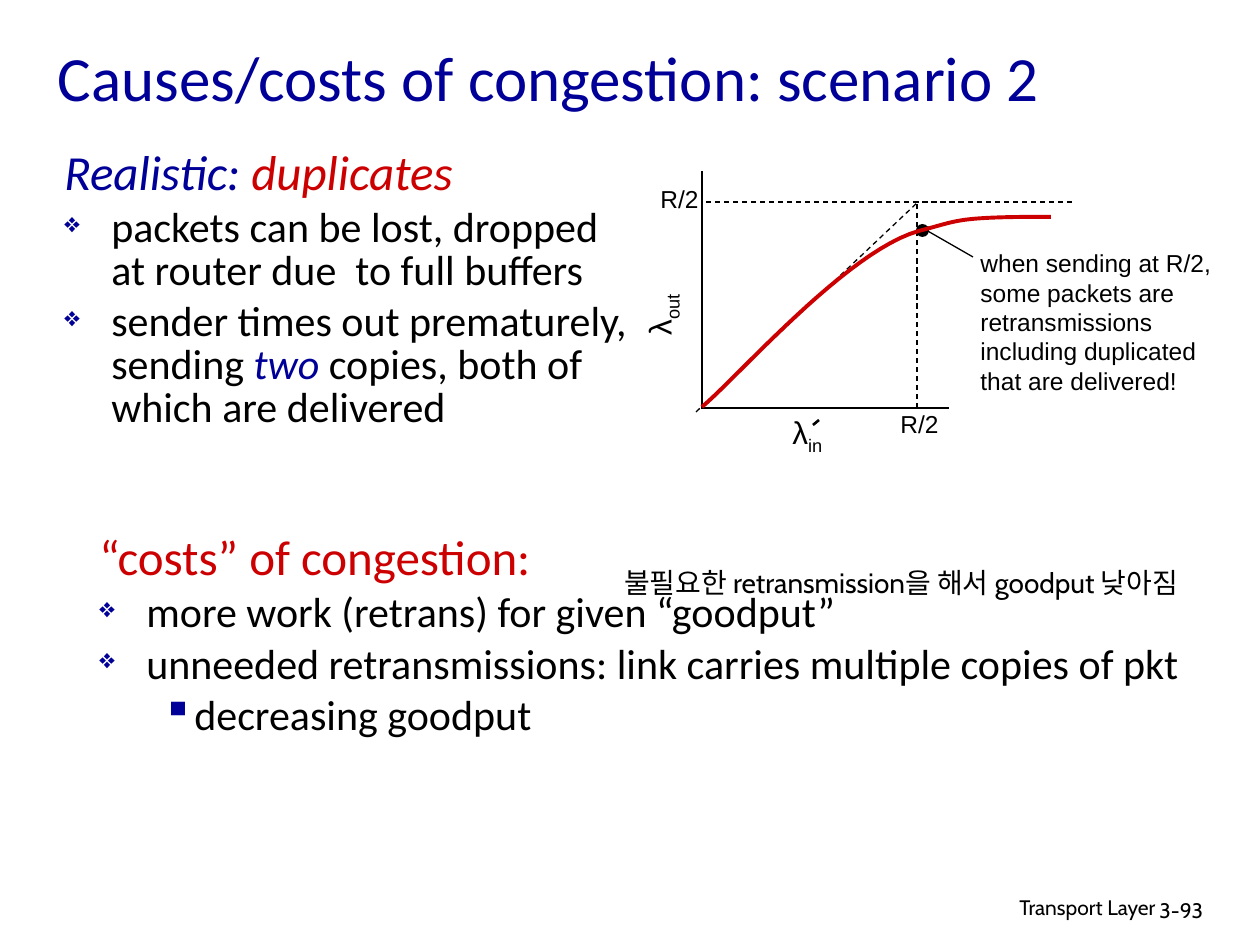
from dataclasses import dataclass

from lxml import etree
from pptx import Presentation
from pptx.dml.color import RGBColor
from pptx.enum.dml import MSO_LINE
from pptx.enum.shapes import MSO_CONNECTOR, MSO_SHAPE
from pptx.enum.text import MSO_ANCHOR, MSO_AUTO_SIZE, PP_ALIGN
from pptx.oxml.ns import qn
from pptx.util import Emu, Pt

STRAIGHT = MSO_CONNECTOR.STRAIGHT
OVAL = MSO_SHAPE.OVAL
DASH = MSO_LINE.DASH
LEFT, CENTER, RIGHT = PP_ALIGN.LEFT, PP_ALIGN.CENTER, PP_ALIGN.RIGHT
MIDDLE = MSO_ANCHOR.MIDDLE
FIT, FIXED = MSO_AUTO_SIZE.SHAPE_TO_FIT_TEXT, MSO_AUTO_SIZE.NONE
EMU_PER_PX = 914400 / 126
CURVE_STEPS = 24


@dataclass(frozen=True)
class Theme:
    black: str = "000000"
    blue: str = "000099"
    red: str = "CC0000"
    body_font: str = "Calibri"
    graph_font: str = "Arial"
    note_font: str = "Cabin"
    title_size: int = 36
    heading_size: int = 28
    body_size: int = 24
    symbol_size: int = 18
    remark_size: int = 16
    label_size: int = 14
    footer_size: int = 12


THEME = Theme()


def px(length):
    return Emu(round(length * EMU_PER_PX))


def add_run(paragraph, text, font, size, color=THEME.black, italic=False, baseline=None):
    run = paragraph.add_run()
    run.text = text
    run.font.name = font
    run.font.size = Pt(size)
    run.font.color.rgb = RGBColor.from_string(color)
    run.font.italic = italic
    if baseline:
        run.font._element.set("baseline", str(baseline))


def add_textbox(slide, box, wrap=True, fit=True):
    frame = slide.shapes.add_textbox(*map(px, box)).text_frame
    frame.word_wrap = wrap
    frame.auto_size = FIT if fit else FIXED
    return frame


def add_label(slide, box, text, font, size, wrap=False, fit=True, align=LEFT):
    paragraph = add_textbox(slide, box, wrap, fit).paragraphs[0]
    paragraph.alignment = align
    add_run(paragraph, text, font, size)


def add_lambda(slide, box, subscript, wrap=False, rotation=0):
    symbol = slide.shapes.add_textbox(*map(px, box))
    symbol.rotation = rotation
    frame = symbol.text_frame
    frame.word_wrap = wrap
    frame.auto_size = FIT
    font, size = THEME.graph_font, THEME.symbol_size
    add_run(frame.paragraphs[0], "λ", font, size)
    add_run(frame.paragraphs[0], subscript, font, size, baseline=-25000)


def add_line(slide, start, end, width=0.75, dashed=False, arrow=False):
    line = slide.shapes.add_connector(STRAIGHT, *map(px, start + end))
    line.line.color.rgb = RGBColor.from_string(THEME.black)
    line.line.width = Pt(width)
    if dashed:
        line.line.dash_style = DASH
    if arrow:
        etree.SubElement(line.line._get_or_add_ln(), qn("a:tailEnd"), type="triangle")
    etree.SubElement(line._element.spPr, qn("a:effectLst"))


def set_bullet(paragraph, symbol, percent):
    properties = paragraph._p.get_or_add_pPr()
    color = etree.SubElement(properties, qn("a:buClr"))
    etree.SubElement(color, qn("a:srgbClr"), val=THEME.blue)
    etree.SubElement(properties, qn("a:buSzPct"), val=str(percent * 1000))
    etree.SubElement(properties, qn("a:buChar"), char=symbol)


def add_points(slide, box, heading, points):
    frame = add_textbox(slide, box, fit=False)
    for text, color, italic in heading:
        add_run(frame.paragraphs[0], text, THEME.body_font, THEME.heading_size, color, italic)
    frame.paragraphs[0].line_spacing = 0.85
    for level, runs in points:
        paragraph = frame.add_paragraph()
        paragraph.level = level
        paragraph.line_spacing = 0.85
        paragraph.space_before = Pt(THEME.body_size * 0.2)
        margin, hanging = (95, 32) if level else (47, 47)
        properties = paragraph._p.get_or_add_pPr()
        properties.set("marL", str(px(margin)))
        properties.set("indent", str(-px(hanging)))
        set_bullet(paragraph, *(("▪", 100) if level else ("❖", 65)))
        for text, emphasized in runs:
            color = THEME.blue if emphasized else THEME.black
            add_run(paragraph, text, THEME.body_font, THEME.body_size, color, emphasized)


def bezier_points(start, segments):
    points = [start]
    for first, second, end in segments:
        for step in range(1, CURVE_STEPS + 1):
            t = step / CURVE_STEPS
            weights = ((1 - t) ** 3, 3 * t * (1 - t) ** 2, 3 * t * t * (1 - t), t ** 3)
            corners = (start, first, second, end)
            points.append(tuple(sum(w * c[axis] for w, c in zip(weights, corners))
                                for axis in (0, 1)))
        start = end
    return points


def add_curve(slide, start, segments):
    points = [tuple(map(px, point)) for point in bezier_points(start, segments)]
    builder = slide.shapes.build_freeform(*points[0])
    builder.add_line_segments(points[1:], close=False)
    curve = builder.convert_to_shape()
    curve.shadow.inherit = False
    curve.fill.background()
    curve.line.color.rgb = RGBColor.from_string(THEME.red)
    curve.line.width = Pt(2.25)


def add_dot(slide, box):
    dot = slide.shapes.add_shape(OVAL, *map(px, box))
    dot.shadow.inherit = False
    dot.fill.solid()
    dot.fill.fore_color.rgb = RGBColor.from_string(THEME.black)
    dot.line.fill.background()


def set_title(slide, box, text):
    title = slide.shapes.title
    title.left, title.top, title.width, title.height = map(px, box)
    frame = title.text_frame
    frame.auto_size = FIXED
    frame.vertical_anchor = MIDDLE
    frame.paragraphs[0].alignment = LEFT
    add_run(frame.paragraphs[0], text, THEME.body_font, THEME.title_size, THEME.blue)


def add_footer(slide):
    add_label(slide, (769, 888, 399, 39), "Transport Layer", THEME.note_font,
              THEME.footer_size, wrap=True, fit=False, align=RIGHT)
    add_label(slide, (1147, 891, 93, 38), "3-93", THEME.note_font,
              THEME.footer_size, wrap=True, fit=False)


def add_throughput_graph(slide):
    font, size = THEME.graph_font, THEME.label_size
    add_line(slide, (702, 171), (702, 408))
    add_line(slide, (949, 408), (701, 408))
    add_line(slide, (1072, 202), (701, 202), dashed=True)
    add_line(slide, (696, 412), (918, 202), dashed=True)
    add_line(slide, (917, 408), (917, 204), dashed=True)
    for left, top in ((648, 178), (888, 403)):
        add_label(slide, (left, top, 63, 42), "R/2", font, size)
    add_lambda(slide, (616, 280, 86, 50), "out", wrap=True, rotation=270)
    add_lambda(slide, (780, 407, 59, 50), "in")
    add_line(slide, (813, 425), (819, 420), width=1.5)
    add_dot(slide, (916, 224, 13, 13))
    add_label(slide, (968, 242, 260, 159),
              "when sending at R/2, some packets are retransmissions "
              "including duplicated that are delivered!", font, size, wrap=True)
    add_line(slide, (973, 257), (919, 226), arrow=True)
    add_curve(slide, (702, 407), [((737, 378), (847, 251), (919, 231)),
                                  ((958, 221), (955, 218), (1022, 217)),
                                  ((1051, 217), (1045, 217), (1051, 217))])


def main():
    deck = Presentation()
    deck.slide_width, deck.slide_height = px(1260), px(945)
    slide = deck.slides.add_slide(deck.slide_layouts[5])
    set_title(slide, (45, 16, 1071, 120), "Causes/costs of congestion: scenario 2")
    add_footer(slide)
    add_throughput_graph(slide)
    add_points(slide, (87, 529, 1123, 136),
               [("“costs” of congestion:", THEME.red, False)],
               [(0, [("more work (retrans) for given “goodput”", False)]),
                (0, [("unneeded retransmissions: link carries multiple copies of pkt", False)]),
                (1, [("decreasing goodput", False)])])
    add_points(slide, (52, 144, 593, 265),
               [("Realistic: ", THEME.blue, True), ("duplicates", THEME.red, True)],
               [(0, [("packets can be lost, dropped at router due  to full buffers", False)]),
                (0, [("sender times out prematurely, sending ", False), ("two ", True),
                     ("copies, both of which are delivered", False)])])
    add_label(slide, (588, 559, 626, 47), "불필요한 retransmission을 해서 goodput 낮아짐",
              THEME.note_font, THEME.remark_size, align=CENTER)
    deck.save("out.pptx")


if __name__ == "__main__":
    main()
